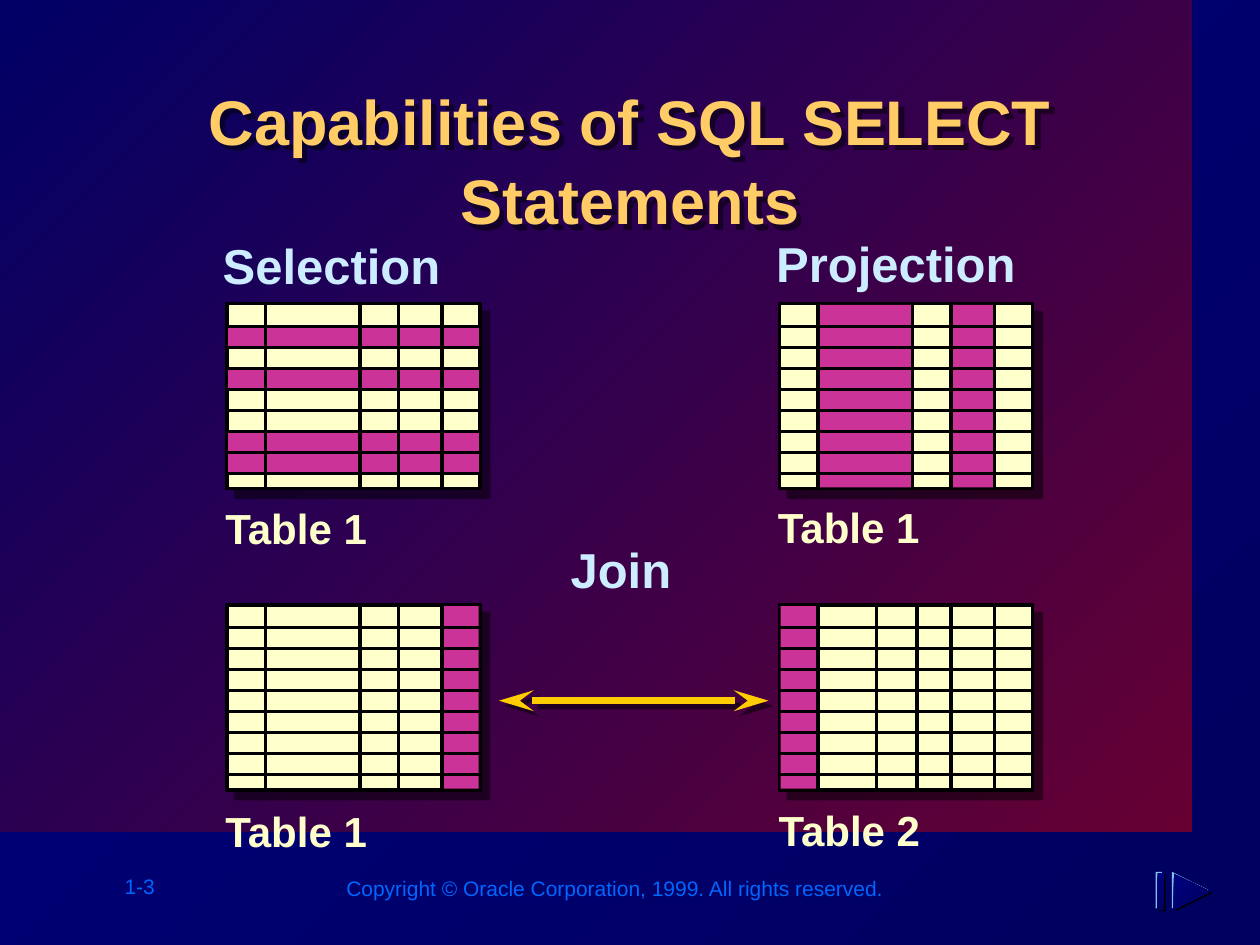
from lxml.etree import SubElement
from pptx import Presentation
from pptx.dml.color import RGBColor
from pptx.enum.shapes import MSO_CONNECTOR, MSO_SHAPE
from pptx.enum.text import MSO_AUTO_SIZE, PP_ALIGN
from pptx.oxml.ns import qn
from pptx.util import Pt

FONT = "Arial"
CREAM, PINK, ICE = "FFFFCC", "CC3399", "CCECFF"
BLACK, GOLD, BLUE, SKY = "000000", "FFCC00", "0066FF", "7FC1EB"
NAVY = ("000080", "00005F")
WINE = ("000066", "660033")

# Grid geometry shared by all four tables
WIDE, HIGH = 144.7, 105.8
LEFT, RIGHT, UPPER, LOWER = 129.6, 445.4, 173.5, 345.6
ROWS = [0] + [13 + 12 * i for i in range(8)] + [HIGH]
COLS = [0, 22, 76, 98, 123, WIDE]
COLS_2 = [0, 22, 55.5, 78.5, 98, 123, WIDE]


def hue(code):
    return RGBColor.from_string(code)


def paint(fill, color):
    """Fill with one colour, or with a diagonal blend of two."""
    if isinstance(color, str):
        fill.solid()
        fill.fore_color.rgb = hue(color)
        return
    fill.gradient()
    fill.gradient_angle = 315
    for stop, code in zip(fill.gradient_stops, color):
        stop.color.rgb = hue(code)


def shade(shape, dist=None):
    """Drop the theme shadow; with a distance, cast a diagonal one."""
    effects = SubElement(shape._element.spPr, qn("a:effectLst"))
    if dist:
        cast = SubElement(effects, qn("a:outerShdw"), dist=str(Pt(dist)),
                          dir="2700000", algn="ctr", rotWithShape="0")
        tint = SubElement(cast, qn("a:srgbClr"), val=BLACK)
        SubElement(tint, qn("a:alpha"), val="50000")


def add_box(slide, x, y, w, h, color, edge=None, dist=None):
    box = slide.shapes.add_shape(MSO_SHAPE.RECTANGLE, Pt(x), Pt(y), Pt(w), Pt(h))
    paint(box.fill, color)
    if edge:
        box.line.color.rgb = hue(edge)
        box.line.width = Pt(2)
    else:
        box.line.fill.background()
    shade(box, dist)


def add_line(slide, x1, y1, x2, y2, color=BLACK, width=2, dist=None, heads=False):
    line = slide.shapes.add_connector(
        MSO_CONNECTOR.STRAIGHT, Pt(x1), Pt(y1), Pt(x2), Pt(y2))
    line.line.color.rgb = hue(color)
    line.line.width = Pt(width)
    if heads:
        for end in ("a:headEnd", "a:tailEnd"):
            SubElement(line.line._get_or_add_ln(), qn(end),
                       type="stealth", w="med", len="lg")
    shade(line, dist)


def add_text(slide, text, x, y, w, h, size, color, bold=True):
    box = slide.shapes.add_textbox(Pt(x), Pt(y), Pt(w), Pt(h))
    frame = box.text_frame
    frame.word_wrap = False
    frame.auto_size = MSO_AUTO_SIZE.SHAPE_TO_FIT_TEXT
    frame.text = text
    font = frame.paragraphs[0].runs[0].font
    font.name, font.size, font.bold = FONT, Pt(size), bold
    font.color.rgb = hue(color)
    return box


def add_title(slide, text):
    box = add_text(slide, text, 72.7, 41.5, 574.6, 69, 36, "FFCC66")
    frame = box.text_frame
    frame.word_wrap = True
    frame.auto_size = MSO_AUTO_SIZE.NONE
    para = frame.paragraphs[0]
    para.alignment = PP_ALIGN.CENTER
    para.line_spacing = 1.05
    shade(box, 4.2)


def add_grid(slide, x, y, cols=COLS, pick_rows=(), pick_cols=()):
    """A ruled table sketch with some rows or columns picked out."""
    add_box(slide, x, y, WIDE, HIGH, CREAM, BLACK, 7.1)
    gap = 0.7
    for i in pick_rows:
        add_box(slide, x + gap, y + ROWS[i], WIDE - 2 * gap,
                ROWS[i + 1] - ROWS[i], PINK)
    for i in pick_cols:
        add_box(slide, x + cols[i] + gap, y + gap,
                cols[i + 1] - cols[i] - 2 * gap, HIGH - 2 * gap, PINK)
    for col in cols[1:-1]:
        add_line(slide, x + col, y, x + col, y + HIGH)
    for row in ROWS[1:-1]:
        add_line(slide, x, y + row, x + WIDE, y + row)


def add_wedge(slide, x, y, color):
    w, h = 21, 20.9
    pen = slide.shapes.build_freeform(Pt(x), Pt(y))
    pen.add_line_segments([(Pt(x), Pt(y + h)), (Pt(x + w), Pt(y + h / 2))])
    wedge = pen.convert_to_shape()
    paint(wedge.fill, color)
    wedge.line.fill.background()
    shade(wedge)


def add_icon(slide, x, y):
    """Bar and wedge, each with a dark edge, a light edge and a face."""
    layers = ((2, 1.6, BLACK), (0, 0, SKY), (1, 0.9, NAVY))
    for dx, dy, color in layers:
        add_box(slide, x + dx, y + dy, 3.6, 20.9, color)
    for dx, dy, color in layers:
        add_wedge(slide, x + 9.3 + dx, y + dy, color)


def main():
    deck = Presentation()
    deck.slide_width, deck.slide_height = Pt(720), Pt(540)
    slide = deck.slides.add_slide(deck.slide_layouts[6])

    # Backdrop and footer
    paint(slide.background.fill, NAVY)
    add_box(slide, 0, 0, 681.1, 475.2, WINE)
    add_text(slide, "1-3", 64.1, 495.4, 39.6, 21.6, 12, BLUE, False)
    add_text(slide, "Copyright © Oracle Corporation, 1999. All rights reserved.",
             190.8, 496.8, 322.6, 21.6, 12, BLUE, False)
    add_icon(slide, 660.4, 498.2)

    add_title(slide, "Capabilities of SQL SELECT Statements")

    # Tables
    add_grid(slide, LEFT, UPPER, pick_rows=(1, 3, 6, 7))
    add_grid(slide, RIGHT, UPPER, pick_cols=(1, 3))
    add_grid(slide, LEFT, LOWER, pick_cols=(4,))
    add_grid(slide, RIGHT, LOWER, COLS_2, pick_cols=(0,))
    add_line(slide, 285.1, 400.4, 439.2, 400.4, GOLD, 4, 4.2, heads=True)

    # Headings
    for text, x, y, w in (("Selection", 120.2, 131.2, 139),
                          ("Projection", 436.5, 130, 151.2),
                          ("Join", 319, 304.6, 72)):
        add_text(slide, text, x, y, w, 41, 28, ICE)

    # Captions
    for text, x, y in (("Table 1", 121.7, 283.7), ("Table 1", 437.4, 283.3),
                       ("Table 1", 121.7, 456.5), ("Table 2", 437.8, 456.1)):
        add_text(slide, text, x, y, 97.2, 36, 24, CREAM)

    deck.save("out.pptx")


if __name__ == "__main__":
    main()
